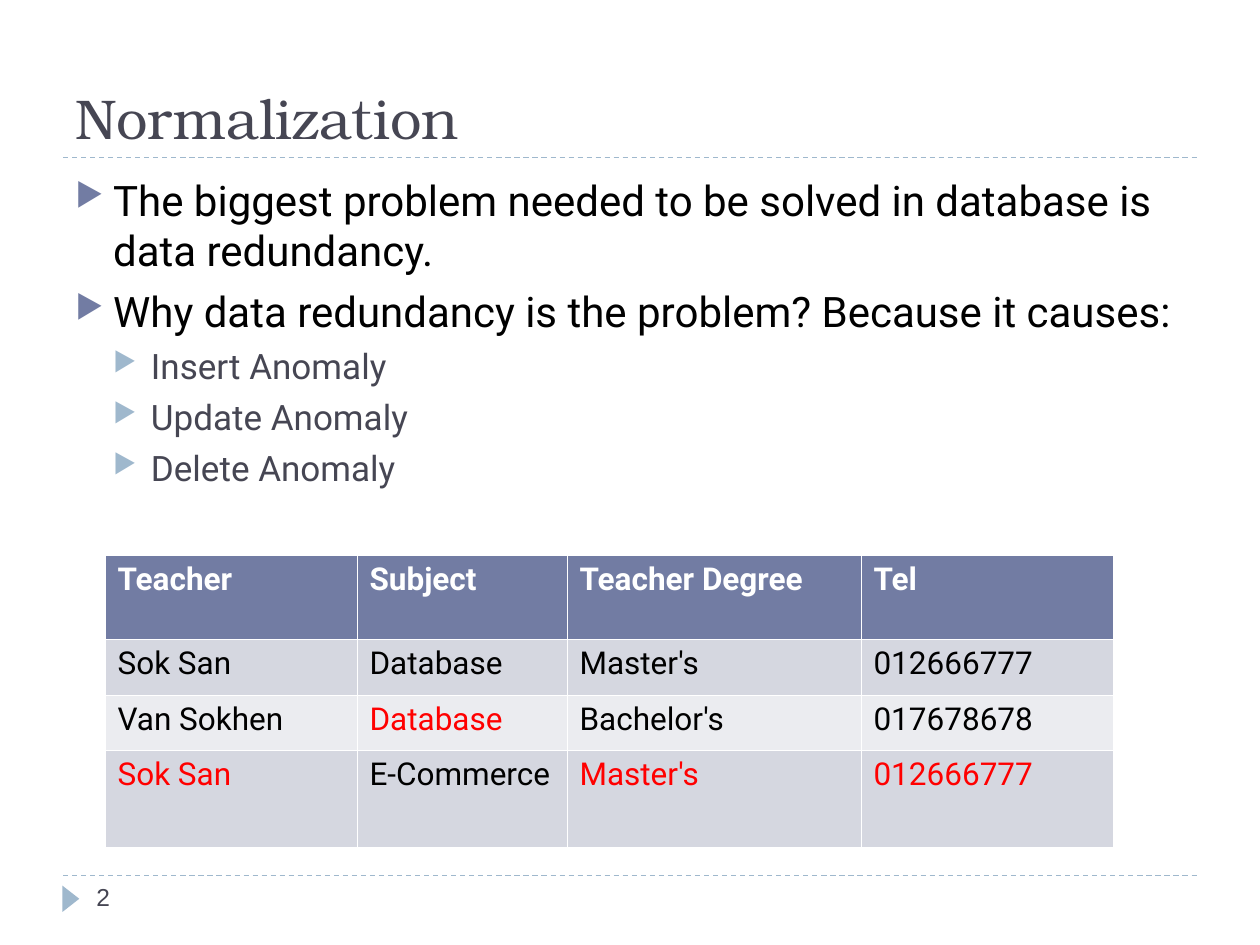
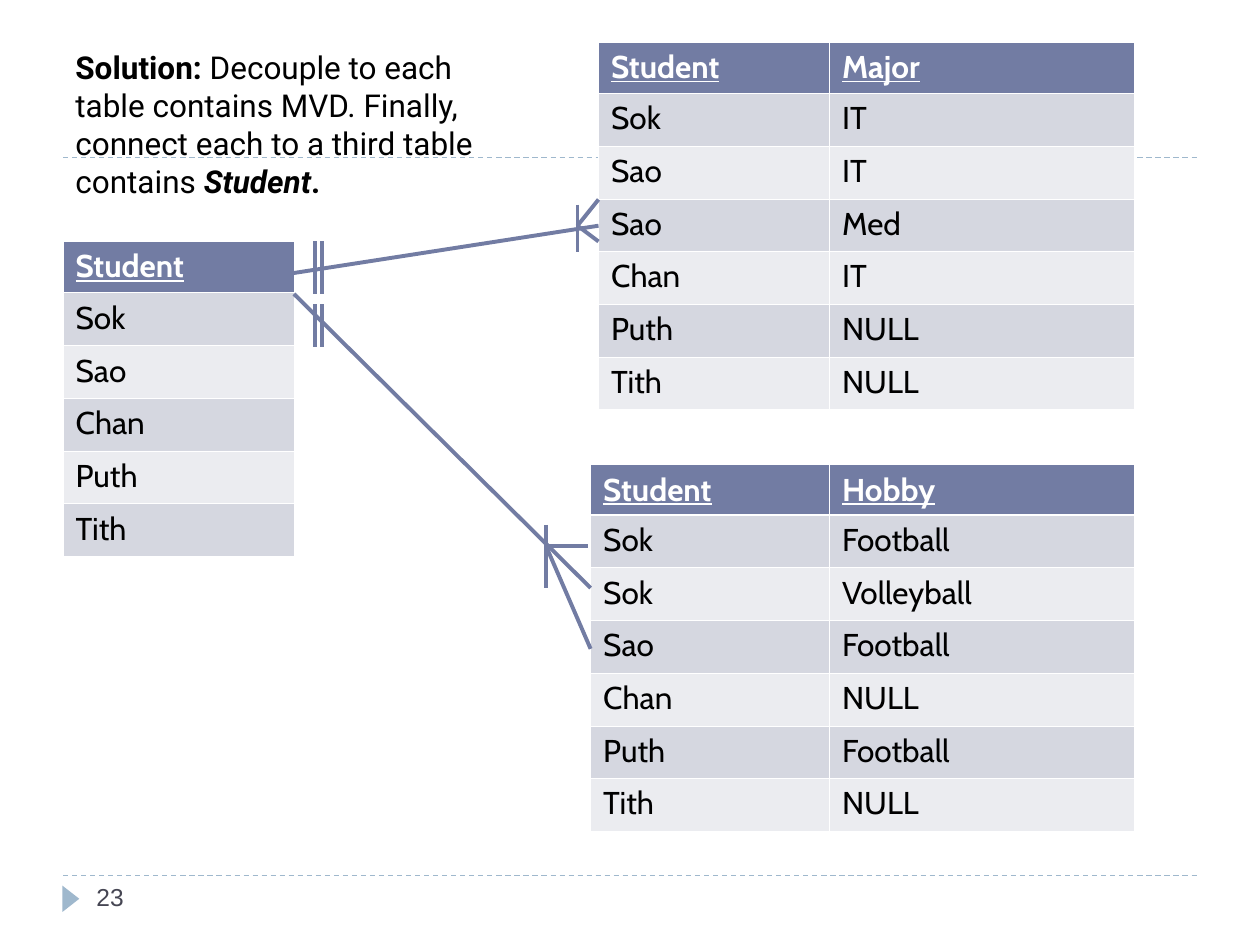
from lxml import etree
from pptx import Presentation
from pptx.dml.color import RGBColor
from pptx.enum.dml import MSO_LINE
from pptx.enum.shapes import MSO_CONNECTOR, MSO_SHAPE
from pptx.enum.text import MSO_ANCHOR, PP_ALIGN
from pptx.oxml.ns import qn
from pptx.util import Inches, Pt

STRAIGHT = MSO_CONNECTOR.STRAIGHT
TRIANGLE = MSO_SHAPE.ISOSCELES_TRIANGLE
DASH = MSO_LINE.DASH
TOP, BOTTOM = MSO_ANCHOR.TOP, MSO_ANCHOR.BOTTOM
LEFT = PP_ALIGN.LEFT

COLORS = {
    "accent": "727CA3", "pale": "9FB8CD", "heading": "464653",
    "text": "000000", "white": "FFFFFF", "repeat": "FF0000",
    "band_dark": "D5D7E0", "band_light": "EBECF0",
}
SERIF, SANS, TABLE_SANS, NUMBER_FONT = "TeX Gyre Bonum", "Roboto", "Cabin", "Arial"

# The slide is a grid of 120 columns by 90 rows, twelve to the inch
COLUMNS, ROWS = 120, 90
MARGIN, RULE_WIDTH = 6, 108
TITLE_RULE, FOOTER_RULE = 15, 83.4
HEADER_ROW, BODY_ROW = 4.9, 5.02


def cells(count):
    return Inches(count / 12)


def place(box):
    return [cells(length) for length in box]


def color(name):
    return RGBColor.from_string(COLORS[name])


def add_text(para, text, size=18, font=SANS, tone="text", bold=False,
             italic=False, underline=False):
    span = para.add_run()
    span.text = text
    span.font.size, span.font.name = Pt(size), font
    span.font.bold, span.font.italic = bold, italic
    span.font.underline = underline
    span.font.color.rgb = color(tone)


def add_box(page, box):
    frame = page.shapes.add_textbox(*place(box)).text_frame
    frame.word_wrap = True
    return frame


def add_line(page, start, end, tone="accent", width=2.25, dash=None):
    line = page.shapes.add_connector(STRAIGHT, *place(start + end))
    line.line.color.rgb = color(tone)
    line.line.width = Pt(width)
    line.line.dash_style = dash
    etree.SubElement(line._element.spPr, qn("a:effectLst"))


def add_frame(page, number):
    """Dashed rules, corner triangle and page number."""
    for row in (FOOTER_RULE, TITLE_RULE):
        add_line(page, (MARGIN, row), (MARGIN + RULE_WIDTH, row),
                 tone="pale", width=0.75, dash=DASH)
    marker = page.shapes.add_shape(TRIANGLE, *place((5.5, 84.8, 2.5, 1.6)))
    marker.rotation = 90
    marker.shadow.inherit = False
    marker.fill.solid()
    marker.fill.fore_color.rgb = color("pale")
    marker.line.fill.background()
    frame = add_box(page, (8, FOOTER_RULE, 26, 4.8))
    add_text(frame.paragraphs[0], str(number), size=14, font=NUMBER_FONT, tone="heading")


def add_title(page, text, box):
    title = page.shapes.title
    title.left, title.top, title.width, title.height = place(box)
    frame = title.text_frame
    frame.vertical_anchor = BOTTOM
    frame.paragraphs[0].alignment = LEFT
    add_text(frame.paragraphs[0], text, size=32, font=SERIF, tone="heading")


def add_bullet(para, level, tone):
    props = para._p.get_or_add_pPr()
    props.set("marL", str(Inches(0.3 * (level + 1))))
    props.set("indent", str(Inches(-0.3)))
    bullet_color = etree.SubElement(props, qn("a:buClr"))
    etree.SubElement(bullet_color, qn("a:srgbClr"), val=COLORS[tone])
    etree.SubElement(props, qn("a:buSzPct"), val="76000")
    etree.SubElement(props, qn("a:buChar"), char="▶")
    para.level = level


def add_bullets(page, items, box):
    # Size, text colour, bullet colour and space before for each level
    levels = [(24, "text", "accent", 6), (20, "heading", "pale", 5)]
    frame = add_box(page, box)
    for index, (level, text) in enumerate(items):
        para = frame.add_paragraph() if index else frame.paragraphs[0]
        size, tone, bullet_tone, space = levels[level]
        add_bullet(para, level, bullet_tone)
        if index:
            para.space_before = Pt(space)
        add_text(para, text, size=size, tone=tone)


def add_borders(cell, row):
    props = cell._tc.get_or_add_tcPr()
    heavy_side = {0: "lnB", 1: "lnT"}.get(row)
    for side in ("lnL", "lnR", "lnT", "lnB"):
        width = Pt(0.75 if side == heavy_side else 0.23)
        border = etree.SubElement(props, qn(f"a:{side}"), w=str(width))
        fill = etree.SubElement(border, qn("a:solidFill"))
        etree.SubElement(fill, qn("a:srgbClr"), val=COLORS["white"])


def add_grid(page, corner, widths, heights, records, font=TABLE_SANS,
             underline=True, repeats=()):
    """Banded table; repeats holds the (row, column) of redundant values."""
    box = (*corner, sum(widths), sum(heights))
    table = page.shapes.add_table(len(heights), len(widths), *place(box)).table
    for column, width in zip(table.columns, widths):
        column.width = cells(width)
    for row, height in zip(table.rows, heights):
        row.height = cells(height)
    for r, record in enumerate(records):
        header = r == 0
        band = "accent" if header else ("band_light", "band_dark")[r % 2]
        for c, text in enumerate(record):
            cell = table.cell(r, c)
            add_borders(cell, r)
            cell.fill.solid()
            cell.fill.fore_color.rgb = color(band)
            cell.vertical_anchor = TOP
            para = cell.text_frame.paragraphs[0]
            para.line_spacing = 0.98
            tone = "white" if header else "repeat" if (r, c) in repeats else "text"
            add_text(para, text, font=font, tone=tone, bold=header,
                     underline=header and underline)


def add_relation(page, start, end, fork, prongs, many_bar, one_bar):
    """One-to-many link: main line, crow's foot, its bar, and a double bar."""
    add_line(page, start, end)
    for prong in prongs:
        add_line(page, fork, prong)
    for x, (top, bottom) in ((fork[0], many_bar), (30, one_bar), (30.67, one_bar)):
        add_line(page, (x, top), (x, bottom))


def build_normalization(deck):
    page = deck.slides.add_slide(deck.slide_layouts[5])
    add_frame(page, 2)
    add_title(page, "Normalization", (MARGIN, 2, RULE_WIDTH, 13))
    add_bullets(page, [
        (0, "The biggest problem needed to be solved in database is data redundancy."),
        (0, "Why data redundancy is the problem? Because it causes:"),
        (1, "Insert Anomaly"),
        (1, "Update Anomaly"),
        (1, "Delete Anomaly"),
    ], (MARGIN, 16, RULE_WIDTH, 64.8))
    add_grid(page, (10, 52.9), (24, 20, 28, 24), (8, 5.3, 5.3, 9.2), [
        ("Teacher", "Subject", "Teacher Degree", "Tel"),
        ("Sok San", "Database", "Master's", "012666777"),
        ("Van Sokhen", "Database", "Bachelor's", "017678678"),
        ("Sok San", "E-Commerce", "Master's", "012666777"),
    ], font=SANS, underline=False, repeats={(2, 1), (3, 0), (3, 2), (3, 3)})


def build_solution(deck):
    page = deck.slides.add_slide(deck.slide_layouts[6])
    add_frame(page, 23)

    # Tables
    majors = [("Student", "Major"), ("Sok", "IT"), ("Sao", "IT"), ("Sao", "Med"),
              ("Chan", "IT"), ("Puth", "NULL"), ("Tith", "NULL")]
    hobbies = [("Student", "Hobby"), ("Sok", "Football"), ("Sok", "Volleyball"),
               ("Sao", "Football"), ("Chan", "NULL"), ("Puth", "Football"),
               ("Tith", "NULL")]
    students = [(name,) for name in ("Student", "Sok", "Sao", "Chan", "Puth", "Tith")]
    for corner, widths, header, records in (
            ((57, 4), (22, 29), HEADER_ROW, majors),
            ((56.25, 44.25), (22.75, 29), 4.8, hobbies),
            ((MARGIN, 23), (22,), HEADER_ROW, students)):
        heights = [header] + [BODY_ROW] * (len(records) - 1)
        add_grid(page, corner, widths, heights, records)

    # Links from the student table to majors and hobbies
    add_relation(page, (28, 26), (57, 21.5), fork=(55, 21.5),
                 prongs=[(57, 19), (57, 23)], many_bar=(19.5, 24), one_bar=(23, 28))
    add_relation(page, (28, 28), (56.25, 56), fork=(52, 52),
                 prongs=[(56, 52), (56.25, 61.8)], many_bar=(50, 56), one_bar=(29, 33))

    # Explanation
    para = add_box(page, (MARGIN, 4, 44, 15.6)).paragraphs[0]
    add_text(para, "Solution: ", bold=True)
    add_text(para, "Decouple to each table contains MVD. Finally, "
                   "connect each to a third table contains ")
    add_text(para, "Student", bold=True, italic=True)
    add_text(para, ".", bold=True)


def main():
    deck = Presentation()
    deck.slide_width, deck.slide_height = cells(COLUMNS), cells(ROWS)
    build_normalization(deck)
    build_solution(deck)
    deck.save("out.pptx")


if __name__ == "__main__":
    main()
